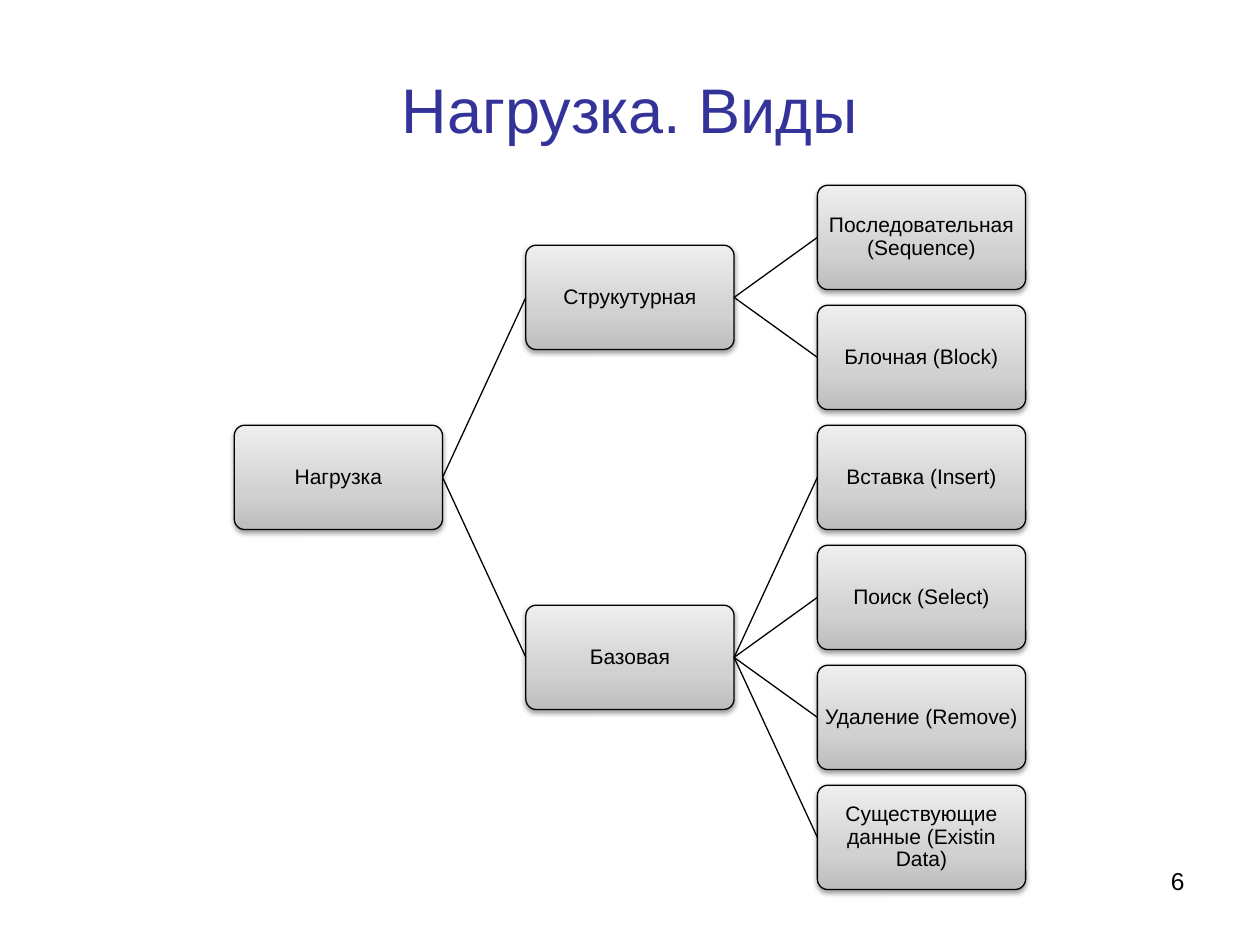
import copy
from dataclasses import dataclass

import lxml.etree
import pptx
import pptx.dml.color
import pptx.enum.shapes
import pptx.enum.text
import pptx.oxml.ns
import pptx.util

COLORS = {"title": "333399", "ink": "000000", "low": "BDBDBD", "middle": "D1D1D1", "high": "EEEEEE"}
FONT = "Arial"
WIDTH, HEIGHT = pptx.util.Inches(10), pptx.util.Inches(7.5)
COLUMNS, ROWS = 3, 6
COLUMN_GAP, ROW_GAP = 0.4, 0.15
TREE = ("Нагрузка", [
    ("Струкутурная", [
        ("Последовательная (Sequence)", []),
        ("Блочная (Block)", []),
    ]),
    ("Базовая", [
        ("Вставка (Insert)", []),
        ("Поиск (Select)", []),
        ("Удаление (Remove)", []),
        ("Существующие данные (Existin Data)", []),
    ]),
])


@dataclass
class Box:
    """A rectangle in EMU."""
    left: int
    top: int
    width: int
    height: int

    def bounds(self):
        """Return the values that python-pptx takes for a place."""
        return self.left, self.top, self.width, self.height


def share(left, top, width, height):
    """Return a box given as shares of the slide."""
    return Box(int(left * WIDTH), int(top * HEIGHT), int(width * WIDTH), int(height * HEIGHT))


def color(name):
    """Return a named colour."""
    return pptx.dml.color.RGBColor.from_string(COLORS[name])


def write(frame, text, size, name, align):
    """Write one formatted run into the first paragraph and return the paragraph."""
    frame.word_wrap = True
    para = frame.paragraphs[0]
    para.alignment = align
    span = para.add_run()
    span.text = text
    span.font.name, span.font.size = FONT, pptx.util.Pt(size)
    span.font.color.rgb = color(name)
    return para


def outline(part):
    """Give a shape or connector the thin dark line."""
    part.line.color.rgb = color("ink")
    part.line.width = pptx.util.Pt(0.75)


def shade(shape):
    """Fill a shape with the three-stop vertical gradient."""
    shape.fill.gradient()
    shape.fill.gradient_angle = 90
    stop_list = shape._element.spPr.find(".//" + pptx.oxml.ns.qn("a:gsLst"))
    stop_list.insert(1, copy.deepcopy(stop_list[0]))
    for stop, name, position in zip(shape.fill.gradient_stops, ("low", "middle", "high"), (0, 0.35, 1)):
        stop.color.rgb = color(name)
        stop.position = position


def cast_shadow(shape):
    """Add a soft shadow below a shape."""
    shape.shadow.inherit = False
    qn = pptx.oxml.ns.qn
    effects = shape._element.spPr.find(qn("a:effectLst"))
    shadow = lxml.etree.SubElement(effects, qn("a:outerShdw"), blurRad=str(pptx.util.Pt(3.1)),
                                   dist=str(pptx.util.Pt(1.6)), dir="5400000", rotWithShape="0")
    tone = lxml.etree.SubElement(shadow, qn("a:srgbClr"), val=COLORS["ink"])
    lxml.etree.SubElement(tone, qn("a:alpha"), val="38000")


def add_node(page, box, text):
    """Draw one rounded node with its label."""
    shape = page.shapes.add_shape(pptx.enum.shapes.MSO_SHAPE.ROUNDED_RECTANGLE, *box.bounds())
    shape.adjustments[0] = 0.1
    shade(shape)
    outline(shape)
    cast_shadow(shape)
    frame = shape.text_frame
    frame.vertical_anchor = pptx.enum.text.MSO_ANCHOR.MIDDLE
    frame.margin_left = frame.margin_right = pptx.util.Inches(0.01)
    frame.margin_top = frame.margin_bottom = pptx.util.Inches(0.01)
    para = write(frame, text, 12, "ink", pptx.enum.text.PP_ALIGN.CENTER)
    para.line_spacing = 0.9
    return shape


def add_branch(page, parent, child):
    """Join the right side of a parent to the left side of a child."""
    branch = page.shapes.add_connector(pptx.enum.shapes.MSO_CONNECTOR.STRAIGHT, 0, 0, 0, 0)
    branch.begin_connect(parent, 3)
    branch.end_connect(child, 1)
    outline(branch)
    lxml.etree.SubElement(branch._element.spPr, pptx.oxml.ns.qn("a:effectLst"))


def add_tree(page, box, tree):
    """Lay a tree out from left to right, each parent centred on its children."""
    node_width = box.width / (COLUMNS + (COLUMNS - 1) * COLUMN_GAP)
    node_height = box.height / (ROWS + (ROWS - 1) * ROW_GAP)
    rows = iter(range(ROWS))

    def place(node, column):
        text, children = node
        placed = [place(child, column + 1) for child in children]
        row = (placed[0][1] + placed[-1][1]) / 2 if placed else next(rows)
        cell = Box(int(box.left + column * node_width * (1 + COLUMN_GAP)),
                   int(box.top + row * node_height * (1 + ROW_GAP)),
                   int(node_width), int(node_height))
        shape = add_node(page, cell, text)
        for child, _ in placed:
            add_branch(page, shape, child)
        return shape, row

    place(tree, 0)


def add_title(page, box, text):
    """Fill the title placeholder."""
    title = page.shapes.title
    title.left, title.top, title.width, title.height = box.bounds()
    title.text_frame.vertical_anchor = pptx.enum.text.MSO_ANCHOR.MIDDLE
    write(title.text_frame, text, 36, "title", pptx.enum.text.PP_ALIGN.CENTER)


def add_page_number(page, box, text):
    """Write the page number at the right of its box."""
    number = page.shapes.add_textbox(*box.bounds())
    write(number.text_frame, text, 14, "ink", pptx.enum.text.PP_ALIGN.RIGHT)


def main():
    """Build the deck and save it."""
    deck = pptx.Presentation()
    deck.slide_width, deck.slide_height = WIDTH, HEIGHT
    page = deck.slides.add_slide(deck.slide_layouts.get_by_name("Title Only"))
    add_page_number(page, share(0.72, 0.91, 0.23, 0.07), "6")
    add_title(page, share(0.05, 0.03, 0.9, 0.17), "Нагрузка. Виды")
    add_tree(page, Box(*(pptx.util.Inches(length) for length in (1.86, 1.47, 6.28, 5.59))), TREE)
    deck.save("out.pptx")


if __name__ == "__main__":
    main()
